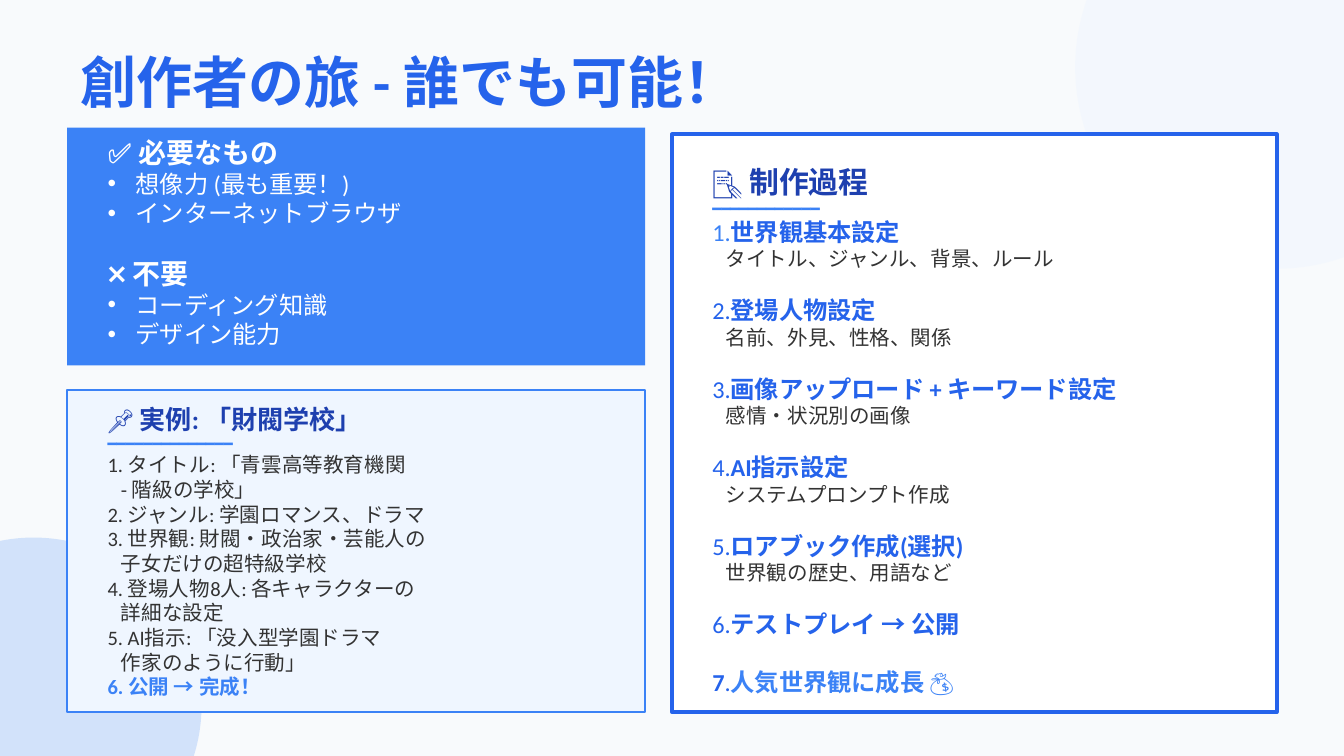
from lxml import etree
from pptx import Presentation
from pptx import util as u
from pptx.dml.color import RGBColor
from pptx.enum import shapes, text
from pptx.oxml import ns

FONT = "Calibri"
WHITE = RGBColor(0xFF, 0xFF, 0xFF)
PAGE = RGBColor(0xF8, 0xFA, 0xFC)
PALE = RGBColor(0xEF, 0xF6, 0xFF)
SKY = RGBColor(0x3B, 0x82, 0xF6)
BLUE = RGBColor(0x25, 0x63, 0xEB)
NAVY = RGBColor(0x1E, 0x40, 0xAF)
INK = RGBColor(0x33, 0x33, 0x33)
WIDTH = 10
HEIGHT = WIDTH * 9 / 16

presentation = Presentation()
presentation.slide_width = u.Inches(WIDTH)
presentation.slide_height = u.Inches(HEIGHT)
slide = presentation.slides.add_slide(presentation.slide_layouts[4])


def add_panel(kind, box, fill, line=None, line_width=1, alpha=None):
    shape = slide.shapes.add_shape(kind, *map(u.Inches, box))
    shape.shadow.inherit = False
    shape.fill.solid()
    shape.fill.fore_color.rgb = fill
    if alpha:
        color = shape.fill._xPr.find(".//" + ns.qn("a:srgbClr"))
        etree.SubElement(color, ns.qn("a:alpha"), val=str(alpha * 1000))
    if line is None:
        shape.line.fill.background()
    else:
        shape.line.color.rgb = line
        shape.line.width = u.Pt(line_width)


def fill_placeholder(index, box, lines):
    shape = next(p for p in slide.placeholders if p.placeholder_format.idx == index)
    shape.left, shape.top, shape.width, shape.height = map(u.Inches, box)
    slide.shapes._spTree.append(shape._element)
    frame = shape.text_frame
    frame.word_wrap = True
    frame.auto_size = text.MSO_AUTO_SIZE.NONE
    frame.vertical_anchor = text.MSO_ANCHOR.MIDDLE
    for number, (size, space, indent, bullet, runs) in enumerate(lines):
        paragraph = frame.add_paragraph() if number else frame.paragraphs[0]
        paragraph.alignment = text.PP_ALIGN.LEFT
        paragraph.space_before = u.Pt(space)
        properties = paragraph._p.get_or_add_pPr()
        properties.set("marL", str(u.Inches(indent)))
        properties.set("indent", str(u.Inches(-indent if bullet else 0)))
        if bullet:
            etree.SubElement(properties, ns.qn("a:buChar"), char="•")
        else:
            etree.SubElement(properties, ns.qn("a:buNone"))
        paragraph.font.name = FONT
        paragraph.font.size = u.Pt(size)
        uniform = len({run[1:] for run in runs}) == 1
        for words, color, bold in runs:
            run = paragraph.add_run()
            run.text = words
            font = paragraph.font if uniform else run.font
            font.color.rgb = color
            font.bold = bold


RECTANGLE = shapes.MSO_SHAPE.RECTANGLE
OVAL = shapes.MSO_SHAPE.OVAL
add_panel(RECTANGLE, (0, 0, WIDTH, HEIGHT), PAGE)
add_panel(OVAL, (8, -1, 3, 3), PALE, alpha=50)
add_panel(OVAL, (-1, 4, 2.5, 2.5), SKY, alpha=20)
add_panel(RECTANGLE, (0.5, 0.95, 4.3, 1.77), SKY)
add_panel(RECTANGLE, (5, 1, 4.5, 4.3), WHITE, BLUE, 2)
add_panel(RECTANGLE, (0.5, 2.9, 4.3, 2.4), PALE, SKY, 1)

fill_placeholder(0, (0.5, 0.3, 9, 0.6), [
    (30, 0, 0, False, [("創作者の旅 - 誰でも可能！", BLUE, True)]),
])

needs = [
    ("✅ 必要なもの", ["想像力 (最も重要！)", "インターネットブラウザ"]),
    ("❌ 不要", ["コーディング知識", "デザイン能力"]),
]
need_lines = []
for heading, items in needs:
    space = 15.6 if need_lines else 0
    need_lines.append((15, space, 0, False, [(heading, WHITE, True)]))
    for item in items:
        need_lines.append((13, 0, 0.21, True, [(item, WHITE, False)]))
fill_placeholder(2, (0.7, 1.1, 4, 1.4), need_lines)

steps = [
    ("世界観基本設定", "タイトル、ジャンル、背景、ルール"),
    ("登場人物設定", "名前、外見、性格、関係"),
    ("画像アップロード + キーワード設定", "感情・状況別の画像"),
    ("AI指示設定", "システムプロンプト作成"),
    ("ロアブック作成(選択)", "世界観の歴史、用語など"),
    ("テストプレイ → 公開", None),
]
step_lines = [
    (16, 0, 0, False, [("📝 制作過程", NAVY, True)]),
    (8, 0, 0, False, [("━" * 12, SKY, False)]),
]
for number, (name, detail) in enumerate(steps, 1):
    space, color = (0, SKY) if number == 1 else (13.2, BLUE)
    step_lines.append((13, space, 0, False, [(f"{number}.", color, False), (name, BLUE, True)]))
    if detail:
        step_lines.append((11, 0, 0.1, False, [(detail, INK, False)]))
step_lines.append((13, 15.6, 0, False, [
    ("7", BLUE, True), (".", BLUE, False), ("人気世界観に成長 💰", SKY, True),
]))
fill_placeholder(1, (5.2, 1.2, 4.3, 4), step_lines)

example = [
    ("1. タイトル: 「青雲高等教育機関", "- 階級の学校」"),
    ("2. ジャンル: 学園ロマンス、ドラマ",),
    ("3. 世界観: 財閥・政治家・芸能人の", "子女だけの超特級学校"),
    ("4. 登場人物8人: 各キャラクターの", "詳細な設定"),
    ("5. AI指示: 「没入型学園ドラマ", "作家のように行動」"),
]
example_lines = [
    (14, 0, 0, False, [("📌 実例: 「財閥学校」", NAVY, True)]),
    (8, 0, 0, False, [("━" * 14, SKY, False)]),
]
for entry in example:
    for row, words in enumerate(entry):
        example_lines.append((11, 0, 0.1 * row, False, [(words, INK, False)]))
example_lines.append((11, 0, 0, False, [("6. 公開 → 完成！", SKY, True)]))
fill_placeholder(3, (0.7, 2.9, 4, 2.4), example_lines)

for placeholder in list(slide.placeholders):
    if not placeholder.text_frame.text:
        slide.shapes._spTree.remove(placeholder._element)

presentation.save("out.pptx")
